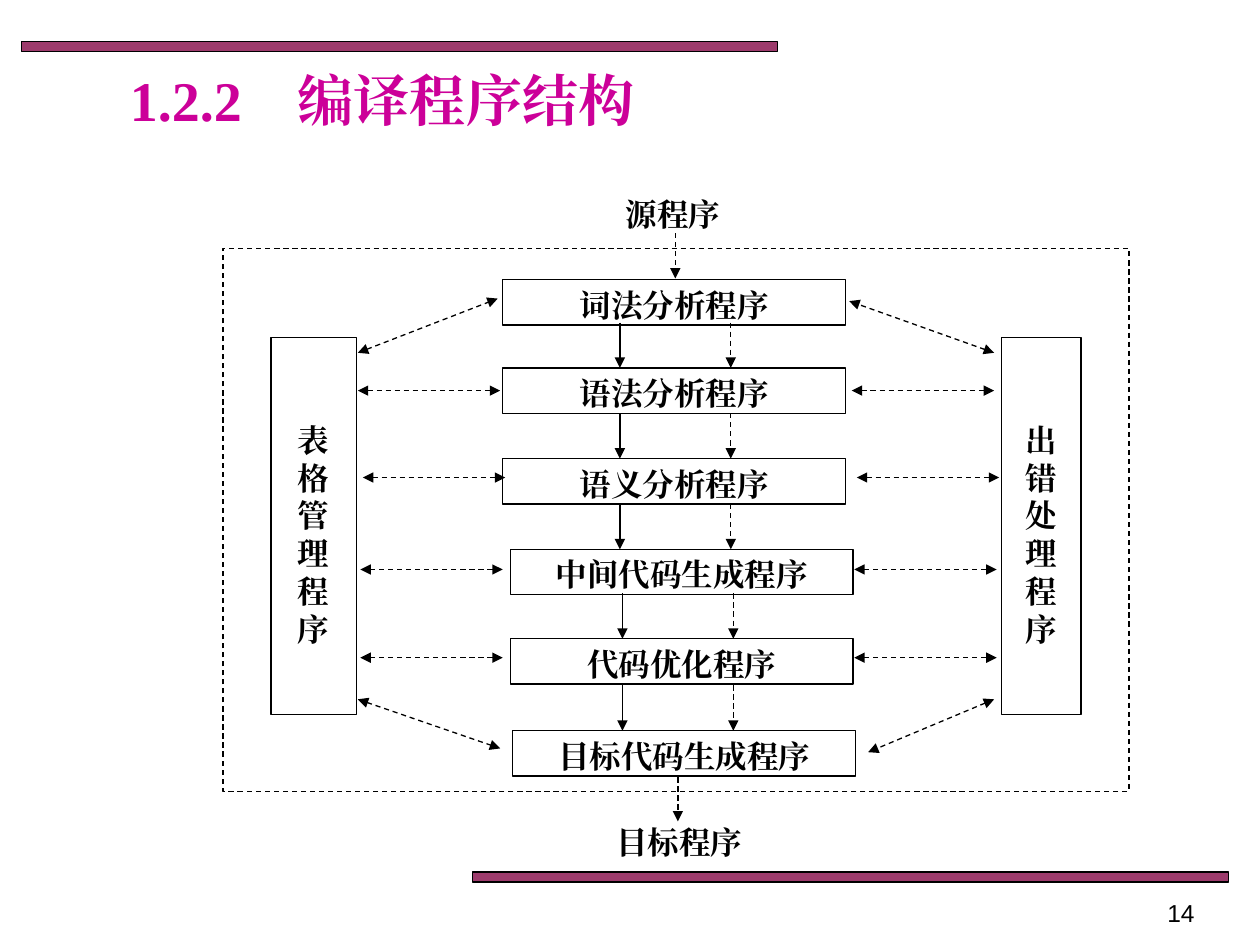
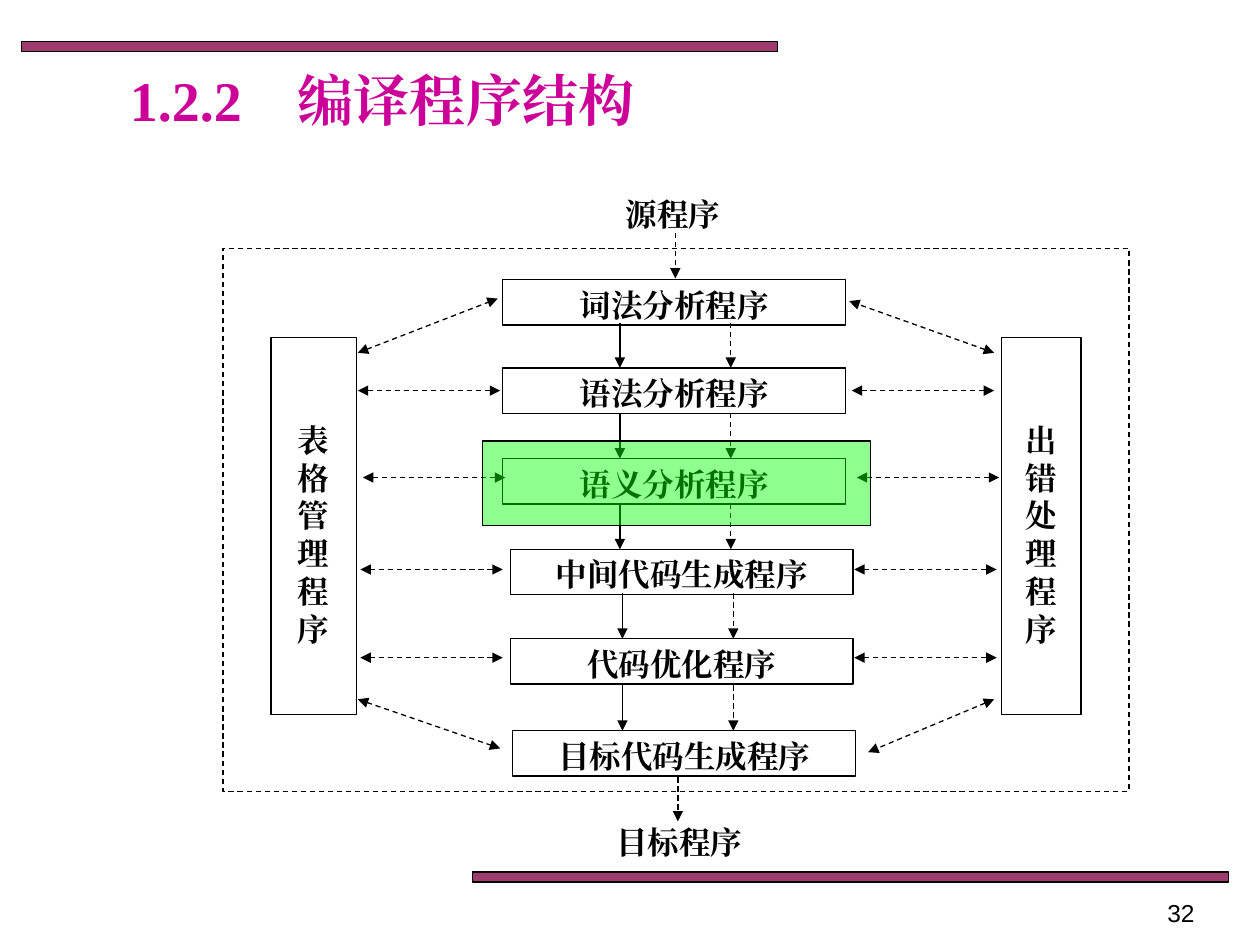
from lxml import etree
from pptx import Presentation
from pptx.dml.color import RGBColor
from pptx.enum import dml, shapes, text
from pptx.oxml import ns
from pptx.util import Inches, Pt

BLACK = RGBColor(0x00, 0x00, 0x00)
WHITE = RGBColor(0xFF, 0xFF, 0xFF)
PLUM = RGBColor(0x99, 0x33, 0x66)
MAGENTA = RGBColor(0xCC, 0x00, 0x99)
GREEN = RGBColor(0x00, 0xFF, 0x00)

BODY_FONT = "Times New Roman"
NUMBER_FONT = "Arial"
LEFT, CENTER, RIGHT = (text.PP_ALIGN.LEFT, text.PP_ALIGN.CENTER,
                       text.PP_ALIGN.RIGHT)

# Compiler phases: label, left, top, x of the solid arrow leading to it
BOX_W, BOX_H = 2.72, 0.36
PHASES = [
    ("词法分析程序", 3.99, 2.22, None),
    ("语法分析程序", 3.99, 2.92, 4.92),
    ("语义分析程序", 3.99, 3.64, 4.92),
    ("中间代码生成程序", 4.05, 4.36, 4.92),
    ("代码优化程序", 4.05, 5.07, 4.94),
    ("目标代码生成程序", 4.07, 5.8, 4.94),
]
ENDPOINTS = [("源程序", 3.98, 1.5), ("目标程序", 4.03, 6.48)]
MANAGERS = [("表格管理程序", 2.15, 0.68), ("出错处理程序", 7.95, 0.63)]

# Level exchange arrows: left end and height; the right side is a shifted copy
EXCHANGES = [(2.84, 3.1), (2.88, 3.79), (2.86, 4.52), (2.86, 5.22)]
EXCHANGE_LENGTH, RIGHT_SHIFT = 1.13, 3.92
SLANTED = [(2.84, 2.8, 3.95, 2.37), (2.84, 5.55, 3.97, 5.94),
           (7.89, 2.8, 6.74, 2.39), (7.89, 5.55, 6.89, 5.97)]


def write(frame, content, *, size=18, font=BODY_FONT, color=BLACK, bold=True,
          align=CENTER, anchor=text.MSO_ANCHOR.TOP, top_inset=0.05,
          pitch=None):
    frame.word_wrap = True
    frame.auto_size = text.MSO_AUTO_SIZE.NONE
    frame.vertical_anchor = anchor
    frame.margin_left = frame.margin_right = Inches(0.1)
    frame.margin_top, frame.margin_bottom = Inches(top_inset), Inches(0.05)
    paragraph = frame.paragraphs[0]
    paragraph.alignment = align
    if pitch:
        paragraph.line_spacing = Pt(pitch)
    run = paragraph.add_run()
    run.text = content
    run.font.size, run.font.bold, run.font.name = Pt(size), bold, font
    run.font.color.rgb = color
    east_asian = etree.SubElement(run.font._element, ns.qn("a:ea"))
    east_asian.set("typeface", font)


class Deck:
    def __init__(self):
        self.prs = Presentation()
        self.prs.slide_width, self.prs.slide_height = Inches(10), Inches(7.5)
        self.slide = None

    def start(self, title, number):
        """Add a slide with its title, bands and page number."""
        self.slide = self.prs.slides.add_slide(self.prs.slide_layouts[5])
        heading = self.slide.shapes.title
        heading.left, heading.top = Inches(0.93), Inches(0.58)
        heading.width, heading.height = Inches(4.74), Inches(0.42)
        write(heading.text_frame, title, size=32, color=MAGENTA, align=LEFT,
              anchor=text.MSO_ANCHOR.MIDDLE)
        for left, top in ((0.17, 0.33), (3.75, 6.92)):
            self.box(left, top, 6, 0.08, fill=PLUM, opacity=96)
        self.label(number, 7.25, 7.08, 2.33, 0.27, size=14, font=NUMBER_FONT,
                   bold=False, align=RIGHT)

    def stroke(self, line, dashed):
        line.color.rgb, line.width = BLACK, Pt(0.75)
        if dashed:
            line.dash_style = dml.MSO_LINE.DASH

    def box(self, left, top, width, height, content=None, *, fill=WHITE,
            opacity=100, dashed=False, **style):
        box = self.slide.shapes.add_shape(
            shapes.MSO_SHAPE.RECTANGLE, Inches(left), Inches(top),
            Inches(width), Inches(height))
        box.shadow.inherit = False
        self.stroke(box.line, dashed)
        if fill is None:
            box.fill.background()
        else:
            box.fill.solid()
            box.fill.fore_color.rgb = fill
        if opacity < 100:
            color = box._element.spPr.find(".//" + ns.qn("a:srgbClr"))
            alpha = etree.SubElement(color, ns.qn("a:alpha"))
            alpha.set("val", str(opacity * 1000))
        if content:
            write(box.text_frame, content, **style)

    def label(self, content, left, top, width, height, **style):
        area = self.slide.shapes.add_textbox(
            Inches(left), Inches(top), Inches(width), Inches(height))
        write(area.text_frame, content, **style)

    def arrow(self, x1, y1, x2, y2, *, dashed=True, both=False):
        arrow = self.slide.shapes.add_connector(
            shapes.MSO_CONNECTOR.STRAIGHT, Inches(x1), Inches(y1),
            Inches(x2), Inches(y2))
        self.stroke(arrow.line, dashed)
        for end in ("headEnd", "tailEnd") if both else ("tailEnd",):
            tip = etree.SubElement(arrow.line._ln, ns.qn("a:" + end))
            tip.set("type", "triangle")
        etree.SubElement(arrow._element.spPr, ns.qn("a:effectLst"))


def draw_compiler(deck):
    # Input, output, phases and the two managers
    for name, left, top in ENDPOINTS:
        deck.label(name, left, top, BOX_W, BOX_H)
    for name, left, top, _ in PHASES:
        deck.box(left, top, BOX_W, BOX_H, name)
    for name, left, width in MANAGERS:
        deck.box(left, 2.68, width, 2.99, name, top_inset=0.66, pitch=21.6)

    # Flow from phase to phase
    deck.arrow(5.36, 1.85, 5.36, 2.21)
    deck.arrow(5.38, 6.17, 5.38, 6.52)
    for _, _, top, x in PHASES[1:]:
        deck.arrow(x, top - 0.36, x, top, dashed=False)
        deck.arrow(x + 0.88, top - 0.36, x + 0.88, top)

    # Exchange with the managers
    for left, y in EXCHANGES:
        for x in (left, left + RIGHT_SHIFT):
            deck.arrow(x, y, x + EXCHANGE_LENGTH, y, both=True)
    for ends in SLANTED:
        deck.arrow(*ends, both=True)

    # Compiler boundary
    deck.box(1.77, 1.97, 7.19, 4.31, fill=None, dashed=True)


def main():
    deck = Deck()
    for number in ("14", "32"):
        deck.start("1.2.2　编译程序结构", number)
        draw_compiler(deck)
    # Highlight semantic analysis on the last slide
    deck.box(3.83, 3.5, 3.08, 0.67, fill=GREEN, opacity=44)
    deck.prs.save("out.pptx")


if __name__ == "__main__":
    main()
